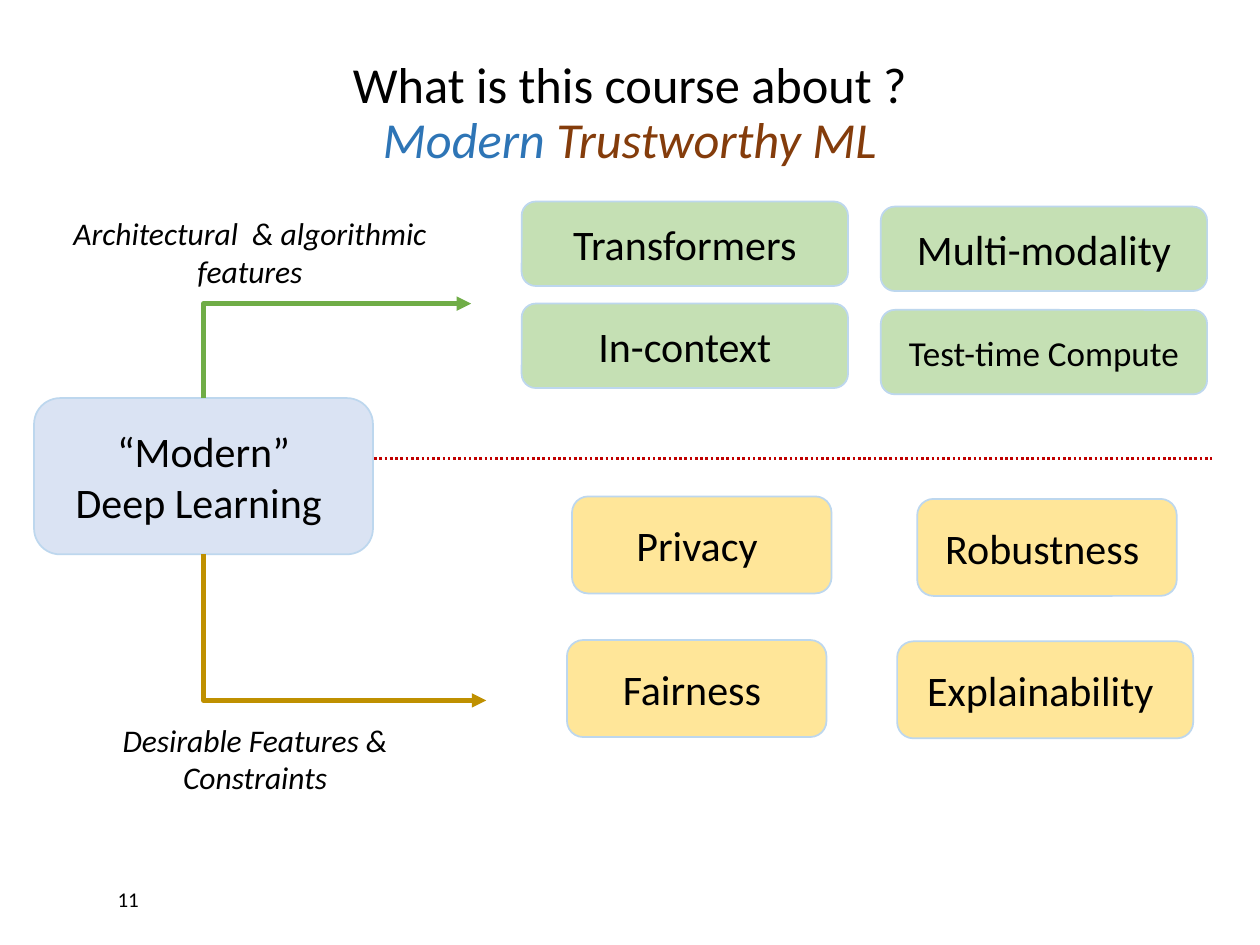
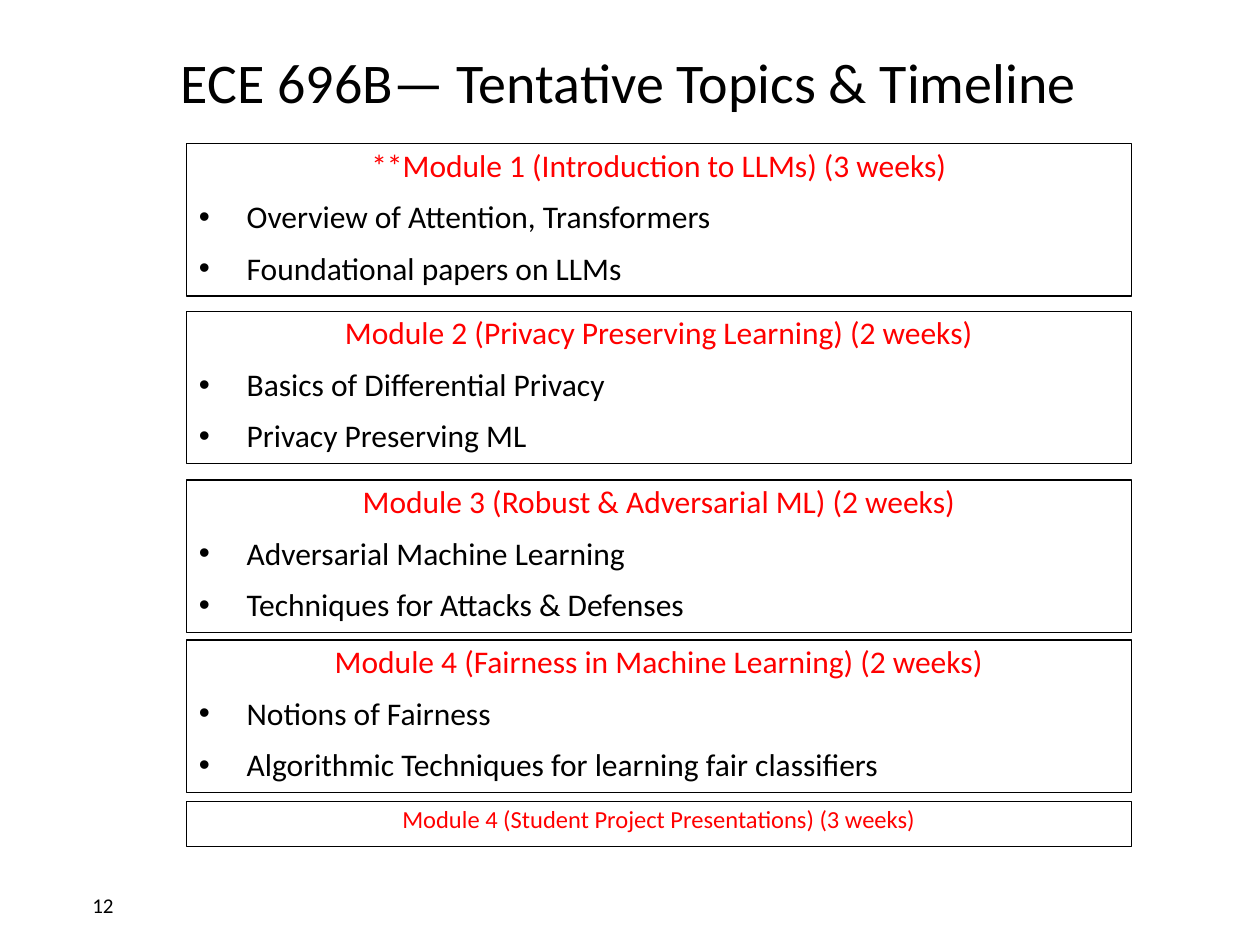
from dataclasses import dataclass

from lxml import etree
from pptx import Presentation
from pptx.dml.color import RGBColor
from pptx.enum.dml import MSO_LINE
from pptx.enum.shapes import MSO_CONNECTOR, MSO_SHAPE
from pptx.enum.text import MSO_ANCHOR, PP_ALIGN
from pptx.oxml.ns import qn
from pptx.util import Inches, Pt

ROUNDED, RECTANGLE = MSO_SHAPE.ROUNDED_RECTANGLE, MSO_SHAPE.RECTANGLE
STRAIGHT, ELBOW = MSO_CONNECTOR.STRAIGHT, MSO_CONNECTOR.ELBOW
TOP, MIDDLE, BOTTOM = MSO_ANCHOR.TOP, MSO_ANCHOR.MIDDLE, MSO_ANCHOR.BOTTOM
LEFT, CENTER, RIGHT = PP_ALIGN.LEFT, PP_ALIGN.CENTER, PP_ALIGN.RIGHT
DOTTED = MSO_LINE.ROUND_DOT
BOX_TOP, BOX_BOTTOM = 0, 2


@dataclass(frozen=True)
class Theme:
    font: str = "Calibri"
    ink: str = "000000"
    modern: str = "2E75B6"
    trustworthy: str = "843C0B"
    heading: str = "FF0000"
    core: str = "DAE3F3"
    architecture: str = "C5E0B4"
    architecture_path: str = "70AD47"
    constraint: str = "FFE699"
    constraint_path: str = "BF9000"
    divider: str = "C00000"
    outline: str = "BDD7EE"
    title: float = 32
    two_line_title: float = 28.8
    topic: float = 24
    long_topic: float = 20
    body: float = 18
    closing: float = 14
    number: float = 12


theme = Theme()
deck = Presentation()
deck.slide_width, deck.slide_height = Inches(10), Inches(7.5)
COL, ROW = deck.slide_width / 100, deck.slide_height / 75


def place(slide, col, row, cols, rows, kind=None, fill=None, line=None, weight=1, anchor=TOP):
    area = int(col * COL), int(row * ROW), int(cols * COL), int(rows * ROW)
    if kind is None:
        item = slide.shapes.add_textbox(*area)
    else:
        item = slide.shapes.add_shape(kind, *area)
        item.shadow.inherit = False
        item.line.color.rgb = RGBColor.from_string(line)
        item.line.width = Pt(weight)
        if fill:
            item.fill.solid()
            item.fill.fore_color.rgb = RGBColor.from_string(fill)
        else:
            item.fill.background()
    item.text_frame.word_wrap = True
    item.text_frame.vertical_anchor = anchor
    return item


def write(item, text, size=theme.body, color=theme.ink, italic=False, align=CENTER,
          spacing=None, before=None, bullet=False, joined=False):
    frame = item.text_frame
    paragraph = frame.paragraphs[-1]
    if paragraph.runs and not joined:
        paragraph = frame.add_paragraph()
    paragraph.alignment = align
    if spacing:
        paragraph.line_spacing = spacing
    if before:
        paragraph.space_before = Pt(before)
    if bullet:
        properties = paragraph._p.get_or_add_pPr()
        indent = Inches(0.38)
        properties.set("marL", str(indent))
        properties.set("indent", str(-indent))
        etree.SubElement(properties, qn("a:buFont")).set("typeface", "Arial")
        etree.SubElement(properties, qn("a:buChar")).set("char", "•")
    run = paragraph.add_run()
    run.text = text
    run.font.name = theme.font
    run.font.size = Pt(size)
    run.font.italic = italic
    run.font.color.rgb = RGBColor.from_string(color)
    return paragraph


blank = deck.slide_layouts[6]
about, timeline = [deck.slides.add_slide(blank) for _ in range(2)]

for slide, number, area in [(about, "11", (5.1, 69.9, 6.9, 3)),
                            (timeline, "12", (0.8, 69.8, 9.2, 4))]:
    write(place(slide, *area, anchor=MIDDLE), number, size=theme.number, align=RIGHT)

question = place(about, 7.5, 4, 85, 9.9, anchor=BOTTOM)
write(question, "What is this course about ?", size=theme.two_line_title,
      spacing=0.9).add_line_break()
for words, color in [("Modern ", theme.modern), ("Trustworthy ML", theme.trustworthy)]:
    write(question, words, size=theme.two_line_title, color=color, italic=True,
          spacing=0.9, joined=True)

modern_learning = place(about, 2.7, 31.6, 26.9, 12.4, ROUNDED, theme.core, theme.outline,
                        anchor=MIDDLE)
for words in ["“Modern”", "Deep Learning "]:
    write(modern_learning, words, size=theme.topic)

for words, col, row, size in [("Transformers", 41.4, 16, theme.topic),
                              ("Multi-modality", 69.9, 16.4, theme.topic),
                              ("In-context", 41.4, 24.1, theme.topic),
                              ("Test-time Compute", 69.9, 24.6, theme.long_topic)]:
    write(place(about, col, row, 25.9, 6.7, ROUNDED, theme.architecture, theme.outline,
                anchor=MIDDLE), words, size=size)

for words, col, row, cols in [("Privacy ", 45.4, 39.4, 20.6),
                              ("Robustness ", 72.8, 39.6, 20.6),
                              ("Fairness ", 45, 50.8, 20.6),
                              ("Explainability ", 71.2, 50.9, 23.5)]:
    write(place(about, col, row, cols, 7.7, ROUNDED, theme.constraint, theme.outline,
                anchor=MIDDLE), words, size=theme.topic)

for lines, area in [(["Architectural  & algorithmic features"], (4.8, 16.5, 30.1, 10.1)),
                    (["Desirable Features &", "Constraints"], (5.2, 56.7, 30.1, 7.1))]:
    caption = place(about, *area)
    for words in lines:
        write(caption, words, italic=True)

for style, start, end, color, weight, side in [
        (ELBOW, (37.4, 24.1), (16.15, 31.6), theme.architecture_path, 2.75, BOX_TOP),
        (ELBOW, (38.6, 55.6), (16.15, 44), theme.constraint_path, 2.75, BOX_BOTTOM),
        (STRAIGHT, (29.7, 36.4), (96.2, 36.4), theme.divider, 1.5, None)]:
    route = about.shapes.add_connector(style, int(start[0] * COL), int(start[1] * ROW),
                                       int(end[0] * COL), int(end[1] * ROW))
    route.line.color.rgb = RGBColor.from_string(color)
    route.line.width = Pt(weight)
    properties = route._element.spPr
    etree.SubElement(properties, qn("a:effectLst"))
    if style == STRAIGHT:
        route.line.dash_style = DOTTED
    else:
        properties.find(qn("a:prstGeom")).set("prst", "bentConnector2")
        etree.SubElement(properties.find(qn("a:ln")), qn("a:headEnd")).set("type", "triangle")
        route.end_connect(modern_learning, side)

write(place(timeline, 7.4, 2.3, 85, 7.4, anchor=BOTTOM),
      "ECE 696B— Tentative Topics & Timeline", size=theme.title, spacing=0.9)

modules = [
    (11.4, "**Module 1 (Introduction to LLMs) (3 weeks)",
     ["Overview of Attention, Transformers", "Foundational papers on LLMs"]),
    (24.7, "Module 2 (Privacy Preserving Learning) (2 weeks)",
     ["Basics of Differential Privacy", "Privacy Preserving ML"]),
    (38.1, "Module 3 (Robust & Adversarial ML) (2 weeks)",
     ["Adversarial Machine Learning", "Techniques for Attacks & Defenses"]),
    (50.8, "Module 4 (Fairness in Machine Learning) (2 weeks)",
     ["Notions of Fairness", "Algorithmic Techniques for learning fair classifiers"]),
    (63.6, "Module 4 (Student Project Presentations) (3 weeks)", []),
]
for row, heading, topics in modules:
    module = place(timeline, 14.8, row, 75, 12.1 if topics else 3.6, RECTANGLE,
                   line=theme.ink, weight=0.75)
    write(module, heading, size=theme.body if topics else theme.closing,
          color=theme.heading, spacing=0.9, before=10)
    for topic in topics:
        write(module, topic, align=LEFT, spacing=0.9, before=10, bullet=True)

deck.save("out.pptx")
